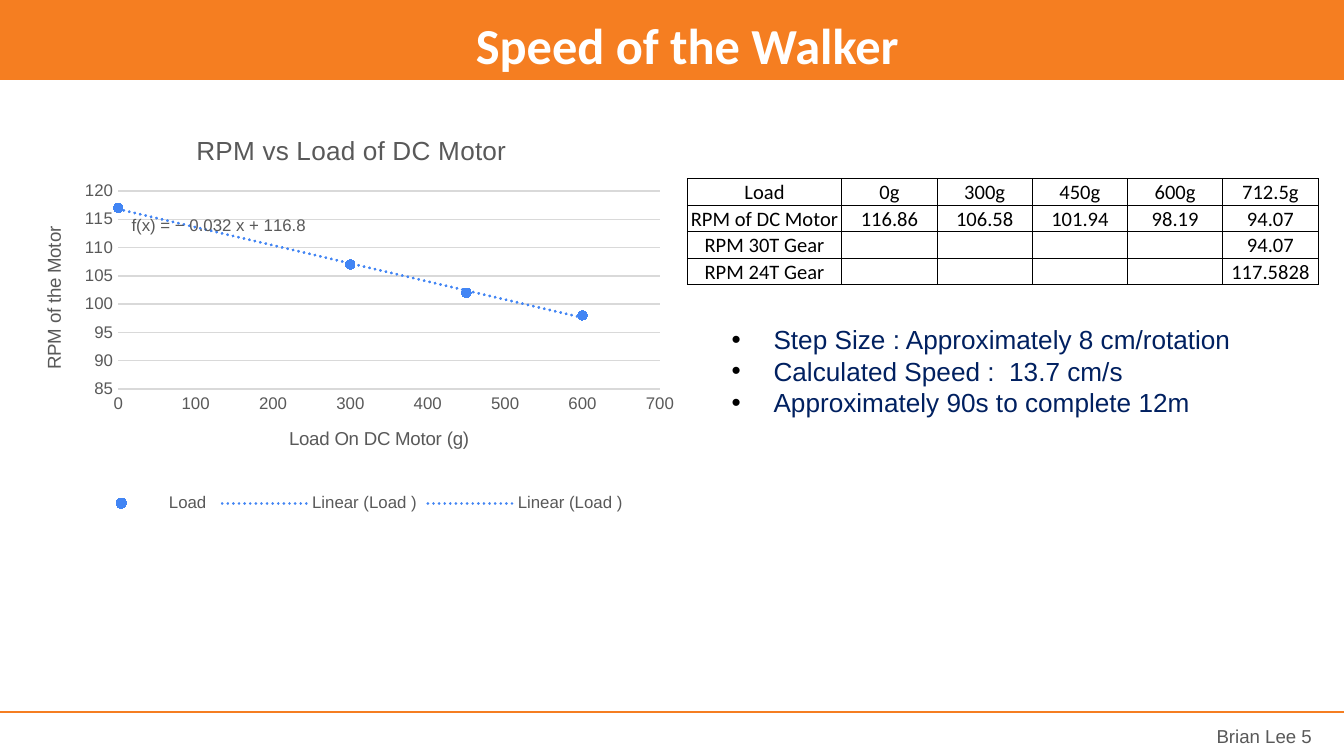
from dataclasses import dataclass

from lxml.etree import SubElement
from pptx import Presentation
from pptx.chart.data import XyChartData
from pptx.dml.color import RGBColor
from pptx.enum.chart import XL_CHART_TYPE as ChartType, XL_LEGEND_POSITION as LegendSpot
from pptx.enum.chart import XL_MARKER_STYLE as MarkerStyle, XL_TICK_MARK as TickMark
from pptx.enum.shapes import MSO_CONNECTOR as Connector, MSO_SHAPE as Shape
from pptx.enum.text import MSO_ANCHOR as Anchor, MSO_AUTO_SIZE as AutoSize, PP_ALIGN as Align
from pptx.oxml import parse_xml
from pptx.oxml.ns import nsdecls, qn
from pptx.util import Cm, Pt


@dataclass(frozen=True)
class Theme:
    """Colours, fonts and type sizes of the deck."""
    orange: str = "F57E21"
    white: str = "FFFFFF"
    black: str = "000000"
    gray: str = "595959"
    grid: str = "D9D9D9"
    blue: str = "4285F4"
    navy: str = "002060"
    heading: str = "Calibri"
    body: str = "Arial"
    title_size: float = 27
    bullet_size: float = 14
    cell_size: float = 11
    note_size: float = 10
    tick_size: float = 9


def style_font(font, size, color, name, bold=False):
    """Apply size, colour, typeface and weight to a font."""
    font.size, font.name, font.bold = Pt(size), name, bold
    font.color.rgb = RGBColor.from_string(color)


def write(para, text, align=Align.LEFT, **style):
    """Add one formatted span to a paragraph."""
    para.alignment = align
    span = para.add_run()
    span.text = text
    style_font(span.font, **style)


def layout_xml(x, y, w=None, h=None):
    """Return a manual chart layout from percentages of the chart."""
    inner = '<c:layoutTarget val="inner"/>' if w else ""
    size = f'<c:w val="{w / 100}"/><c:h val="{h / 100}"/>' if w else ""
    return (f'<c:layout {nsdecls("c")}><c:manualLayout>{inner}<c:xMode val="edge"/><c:yMode val="edge"/>'
            f'<c:x val="{x / 100}"/><c:y val="{y / 100}"/>{size}</c:manualLayout></c:layout>')


def set_layout(parent, after, *spot):
    """Replace the layout of a chart part, placing it after a given child."""
    for old in parent.findall(qn("c:layout")):
        parent.remove(old)
    index = 0 if after is None else parent.index(parent.find(qn(after))) + 1
    parent.insert(index, parse_xml(layout_xml(*spot)))


class SlideBuilder:
    """Holds the theme and current page and draws its elements."""

    def __init__(self, page, theme):
        self.page, self.theme = page, theme

    def band(self, *spot):
        """Draw a filled band."""
        box = self.page.shapes.add_shape(Shape.RECTANGLE, *map(Cm, spot))
        box.shadow.inherit = False
        box.fill.solid()
        box.fill.fore_color.rgb = RGBColor.from_string(self.theme.orange)
        box.line.fill.background()

    def rule(self, x1, y1, x2, y2):
        """Draw a thin straight line."""
        line = self.page.shapes.add_connector(Connector.STRAIGHT, *map(Cm, (x1, y1, x2, y2)))
        line.line.color.rgb = RGBColor.from_string(self.theme.orange)
        line.line.width = Pt(0.75)
        SubElement(line.element.spPr, qn("a:effectLst"))

    def frame(self, box, side, edge, anchor=Anchor.TOP):
        """Set the wrapping, insets and anchor of a box."""
        frame = box.text_frame
        frame.word_wrap, frame.auto_size, frame.vertical_anchor = True, AutoSize.NONE, anchor
        frame.margin_left = frame.margin_right = Cm(side)
        frame.margin_top = frame.margin_bottom = Cm(edge)
        return frame

    def title(self, text, *spot):
        """Fill the title placeholder and bring it to the front."""
        box = self.page.shapes.title
        box.left, box.top, box.width, box.height = map(Cm, spot)
        write(self.frame(box, 0.18, 0.1).paragraphs[0], text, Align.CENTER, size=self.theme.title_size,
              color=self.theme.white, name=self.theme.heading, bold=True)
        self.page.shapes.element.append(box.element)

    def footer(self, text, *spot):
        """Add the right-aligned footer."""
        box = self.page.shapes.add_textbox(*map(Cm, spot))
        write(self.frame(box, 0.25, 0.25, Anchor.MIDDLE).paragraphs[0], text, Align.RIGHT,
              size=self.theme.note_size, color=self.theme.gray, name=self.theme.body)

    def bullets(self, lines, *spot):
        """Add a bulleted list."""
        frame = self.frame(self.page.shapes.add_textbox(*map(Cm, spot)), 0.25, 0.13)
        for index, text in enumerate(lines):
            para = frame.add_paragraph() if index else frame.paragraphs[0]
            write(para, text, size=self.theme.bullet_size, color=self.theme.navy, name=self.theme.body)
            props = para._p.get_or_add_pPr()
            props.set("marL", str(Cm(0.79)))
            props.set("indent", str(-Cm(0.79)))
            SubElement(SubElement(props, qn("a:buClr")), qn("a:srgbClr"), val=self.theme.black)
            SubElement(props, qn("a:buFont"), typeface=self.theme.body)
            SubElement(props, qn("a:buChar"), char="•")

    def cell(self, cell, text):
        """Format and fill one table cell."""
        cell.fill.background()
        cell.vertical_anchor = Anchor.BOTTOM
        cell.margin_left = cell.margin_right = cell.margin_top = Cm(0.02)
        cell.margin_bottom = 0
        para = cell.text_frame.paragraphs[0]
        if text:
            write(para, text, Align.CENTER, size=self.theme.cell_size, color=self.theme.black,
                  name=self.theme.heading)
        else:
            SubElement(para._p, qn("a:endParaRPr"), sz=str(self.theme.cell_size * 100))
        for index, side in enumerate("LRTB"):
            cell._tc.get_or_add_tcPr().insert(index, parse_xml(
                f'<a:ln{side} {nsdecls("a")} w="{Pt(0.5)}"><a:solidFill>'
                f'<a:srgbClr val="{self.theme.black}"/></a:solidFill></a:ln{side}>'))

    def table(self, rows, left, top, widths, height):
        """Add a bordered table."""
        table = self.page.shapes.add_table(len(rows), len(widths), Cm(left), Cm(top),
                                           Cm(sum(widths)), Cm(height * len(rows))).table
        table.first_row = table.horz_banding = False
        for column, width in zip(table.columns, widths):
            column.width = Cm(width)
        for r, row in enumerate(rows):
            table.rows[r].height = Cm(height)
            for c, text in enumerate(row):
                self.cell(table.cell(r, c), text)

    def chart_title(self, title, text, size, *spot):
        """Write and place a chart or axis title."""
        write(title.text_frame.paragraphs[0], text, Align.CENTER, size=size,
              color=self.theme.gray, name=self.theme.body)
        set_layout(title._element, "c:tx", *spot)

    def axis(self, axis, low, high, step):
        """Format one chart axis."""
        axis.minimum_scale, axis.maximum_scale, axis.major_unit = low, high, step
        axis.major_tick_mark = axis.minor_tick_mark = TickMark.NONE
        axis.has_major_gridlines = False
        style_font(axis.tick_labels.font, self.theme.tick_size, self.theme.gray, self.theme.body)
        axis.tick_labels.number_format, axis.tick_labels.number_format_is_linked = "General", False

    def thin(self, line):
        """Give a line the grid colour and weight."""
        line.color.rgb, line.width = RGBColor.from_string(self.theme.grid), Pt(0.75)

    def trend(self, series, equation):
        """Add a dotted linear trend line, with its equation if wanted."""
        theme = self.theme
        label = (f'<c:trendlineLbl>{layout_xml(17, 25.2)}<c:numFmt formatCode="General" sourceLinked="0"/>'
                 f'<c:txPr><a:bodyPr/><a:p><a:pPr><a:defRPr sz="{theme.tick_size * 100}"><a:solidFill>'
                 f'<a:srgbClr val="{theme.gray}"/></a:solidFill><a:latin typeface="{theme.body}"/></a:defRPr>'
                 '</a:pPr><a:endParaRPr/></a:p></c:txPr></c:trendlineLbl>') if equation else ""
        series._element.find(qn("c:xVal")).addprevious(parse_xml(
            f'<c:trendline {nsdecls("c", "a")}><c:spPr><a:ln w="{Pt(1.5)}" cap="rnd"><a:solidFill>'
            f'<a:srgbClr val="{theme.blue}"/></a:solidFill><a:prstDash val="sysDot"/></a:ln></c:spPr>'
            f'<c:trendlineType val="linear"/><c:dispRSqr val="0"/><c:dispEq val="{int(equation)}"/>'
            f'{label}</c:trendline>'))

    def scatter(self, points, *spot):
        """Add the motor speed scatter chart."""
        theme, data = self.theme, XyChartData()
        values = data.add_series("Load ")
        for load, rpm in points:
            values.add_data_point(load, rpm)
        chart = self.page.shapes.add_chart(ChartType.XY_SCATTER, *map(Cm, spot), data).chart
        style_font(chart.font, theme.note_size, theme.black, theme.body)
        self.chart_title(chart.chart_title, "RPM vs Load of DC Motor", theme.bullet_size, 26.3, 3.3)
        loads, speeds = chart.category_axis, chart.value_axis
        self.axis(loads, 0, 700, 100)
        self.axis(speeds, 85, 120, 5)
        self.chart_title(loads.axis_title, "Load On DC Motor (g)", theme.note_size, 40.3, 76.3)
        self.chart_title(speeds.axis_title, "RPM of the Motor", theme.note_size, 3.5, 26.8)
        self.thin(loads.format.line)
        speeds.format.line.fill.background()
        self.thin(speeds.major_gridlines.format.line)
        plot = chart.plots[0]
        plot.vary_by_categories = False
        series = plot.series[0]
        series.format.line.fill.background()
        series.marker.style, series.marker.size = MarkerStyle.CIRCLE, 5
        series.marker.format.fill.solid()
        series.marker.format.fill.fore_color.rgb = RGBColor.from_string(theme.blue)
        series.marker.format.line.color.rgb = RGBColor.from_string(theme.blue)
        for equation in (False, True):
            self.trend(series, equation)
        set_layout(plot._element.getparent(), None, 15.4, 18.8, 80.6, 49.1)
        chart.has_legend = True
        chart.legend.position, chart.legend.include_in_layout = LegendSpot.BOTTOM, False
        style_font(chart.legend.font, theme.tick_size, theme.gray, theme.body)


def main():
    """Build and save the deck."""
    deck = Presentation()
    deck.slide_width, deck.slide_height = Cm(25.4), Cm(14.29)
    slide = SlideBuilder(deck.slides.add_slide(deck.slide_layouts[5]), Theme())
    slide.band(0, 0, 25.4, 1.51)
    slide.rule(0, 13.46, 25.4, 13.46)
    slide.footer("Brian Lee 5", 22.7, 13.36, 2.34, 1.09)
    slide.title("Speed of the Walker", 0.58, 0.16, 24.82, 1.35)
    slide.scatter([(0, 117), (300, 107), (450, 102), (600, 98)], 0.28, 2.18, 12.7, 7.62)
    slide.table([["Load", "0g", "300g", "450g", "600g", "712.5g"],
                 ["RPM of DC Motor", "116.86", "106.58", "101.94", "98.19", "94.07"],
                 ["RPM 30T Gear", "", "", "", "", "94.07"],
                 ["RPM 24T Gear", "", "", "", "", "117.5828"]], 12.99, 3.38, [2.92] + [1.8] * 5, 0.5)
    slide.bullets(["Step Size : Approximately 8 cm/rotation", "Calculated Speed :  13.7 cm/s",
                   "Approximately 90s to complete 12m"], 13.58, 5.99, 10.46, 2.64)
    deck.save("out.pptx")


if __name__ == "__main__":
    main()
